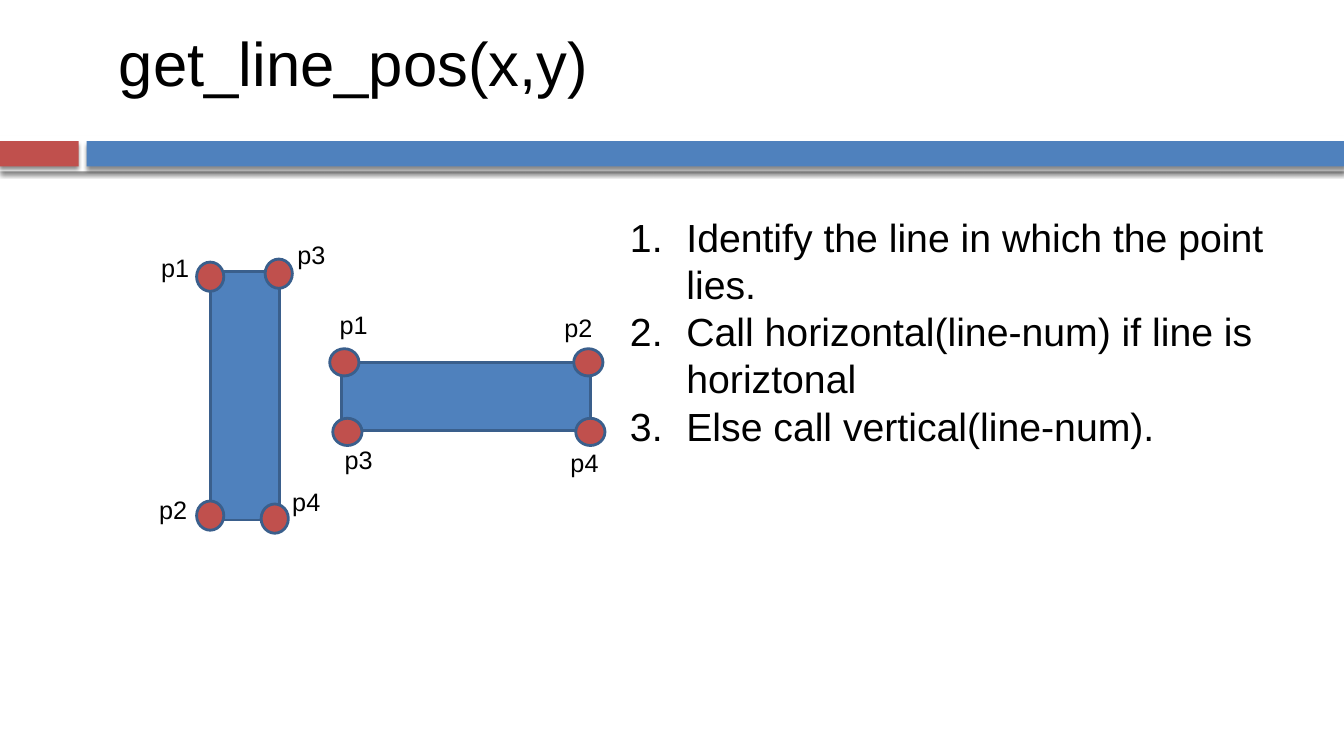
from dataclasses import dataclass

from lxml.etree import SubElement
from pptx import Presentation
from pptx.dml.color import RGBColor
from pptx.enum.shapes import MSO_SHAPE as Shape
from pptx.enum.text import MSO_ANCHOR as Anchor, MSO_AUTO_SIZE as Fit
from pptx.oxml.ns import qn
from pptx.util import Pt

PX = 9144  # 100 px to the inch
WHITE = RGBColor(0xFF, 0xFF, 0xFF)
BLACK = RGBColor(0, 0, 0)
RED = RGBColor(0xC0, 0x50, 0x4D)
BLUE = RGBColor(0x4F, 0x81, 0xBD)
NAVY = RGBColor(0x3A, 0x5F, 0x8C)
FONT = "Arial"
DOT_W, DOT_H = 27, 29
BLOCK_W, BLOCK_H = 68, 247
LABEL_W, LABEL_H = 79, 40
INDENT = 56


@dataclass
class Bar:
    left: int
    top: int
    width: int
    height: int
    color: RGBColor


@dataclass
class Mark:
    """A corner dot and the place of its label."""
    name: str
    dot: tuple[int, int]
    label: tuple[int, int]


@dataclass
class Block:
    left: int
    top: int
    turn: int
    marks: list[Mark]


BARS = [
    Bar(0, 135, 1333, 35, WHITE),
    Bar(0, 140, 78, 25, RED),
    Bar(86, 140, 1247, 25, BLUE),
]
BLOCKS = [
    Block(209, 269, 0, [
        Mark("p1", (195, 260), (150, 245)),
        Mark("p2", (195, 497), (148, 486)),
        Mark("p3", (263, 257), (285, 233)),
        Mark("p4", (259, 500), (280, 478)),
    ]),
    Block(428, 270, 90, [
        Mark("p1", (328, 345), (327, 302)),
        Mark("p2", (570, 345), (550, 305)),
        Mark("p3", (331, 414), (332, 436)),
        Mark("p4", (572, 414), (556, 439)),
    ]),
]
STEPS = [
    "Identify the line in which the point lies.",
    "Call horizontal(line-num) if line is horiztonal",
    "Else call vertical(line-num).",
]


def add_form(slide, kind, left: int, top: int, width: int, height: int,
             color: RGBColor, turn: int = 0):
    form = slide.shapes.add_shape(
        kind, left * PX, top * PX, width * PX, height * PX)
    form.rotation = turn
    form.fill.solid()
    form.fill.fore_color.rgb = color
    form.line.color.rgb = NAVY
    form.line.width = Pt(2)
    form.shadow.inherit = False
    return form


def add_bar(slide, bar: Bar) -> None:
    """Draw a borderless strip with a shadow below it."""
    form = add_form(slide, Shape.RECTANGLE, bar.left, bar.top,
                    bar.width, bar.height, bar.color)
    form.line.fill.background()
    effects = form.element.spPr.find(qn("a:effectLst"))
    shade = SubElement(effects, qn("a:outerShdw"), blurRad=str(Pt(3)),
                       dist=str(Pt(2.4)), dir="5400000", rotWithShape="0")
    tint = SubElement(shade, qn("a:srgbClr"), val=str(BLACK))
    SubElement(tint, qn("a:alpha"), val="45000")


def add_text(slide, left: int, top: int, width: int, height: int,
             lines: list[str], size: int):
    box = slide.shapes.add_textbox(
        left * PX, top * PX, width * PX, height * PX)
    frame = box.text_frame
    frame.word_wrap = True
    frame.auto_size = Fit.SHAPE_TO_FIT_TEXT
    frame.text = "\n".join(lines)
    for para in frame.paragraphs:
        for run in para.runs:
            run.font.name = FONT
            run.font.size = Pt(size)
            run.font.color.rgb = BLACK
    return frame


def add_title(slide, text: str) -> None:
    frame = add_text(slide, 118, -34, 944, 200, [text], 44)
    frame.auto_size = Fit.NONE
    frame.vertical_anchor = Anchor.MIDDLE
    frame.margin_left = frame.margin_right = 0
    frame.margin_top = frame.margin_bottom = 0
    frame.paragraphs[0].line_spacing = 0.9


def add_steps(slide, steps: list[str]) -> None:
    frame = add_text(slide, 615, 207, 650, 246, steps, 28)
    for para in frame.paragraphs:
        props = para._p.get_or_add_pPr()
        props.set("marL", str(INDENT * PX))
        props.set("indent", str(-INDENT * PX))
        SubElement(props, qn("a:buFont"), typeface=FONT)
        SubElement(props, qn("a:buAutoNum"), type="arabicPeriod")


def add_block(slide, block: Block) -> None:
    add_form(slide, Shape.RECTANGLE, block.left, block.top,
             BLOCK_W, BLOCK_H, BLUE, block.turn)
    for mark in block.marks:
        add_form(slide, Shape.OVAL, *mark.dot, DOT_W, DOT_H, RED, block.turn)
        add_text(slide, *mark.label, LABEL_W, LABEL_H, [mark.name], 18)


def main() -> None:
    deck = Presentation()
    deck.slide_width, deck.slide_height = 1333 * PX, 750 * PX
    slide = deck.slides.add_slide(deck.slide_layouts[6])
    for bar in BARS:
        add_bar(slide, bar)
    add_title(slide, "get_line_pos(x,y)")
    for block in BLOCKS:
        add_block(slide, block)
    add_steps(slide, STEPS)
    deck.save("out.pptx")


if __name__ == "__main__":
    main()
